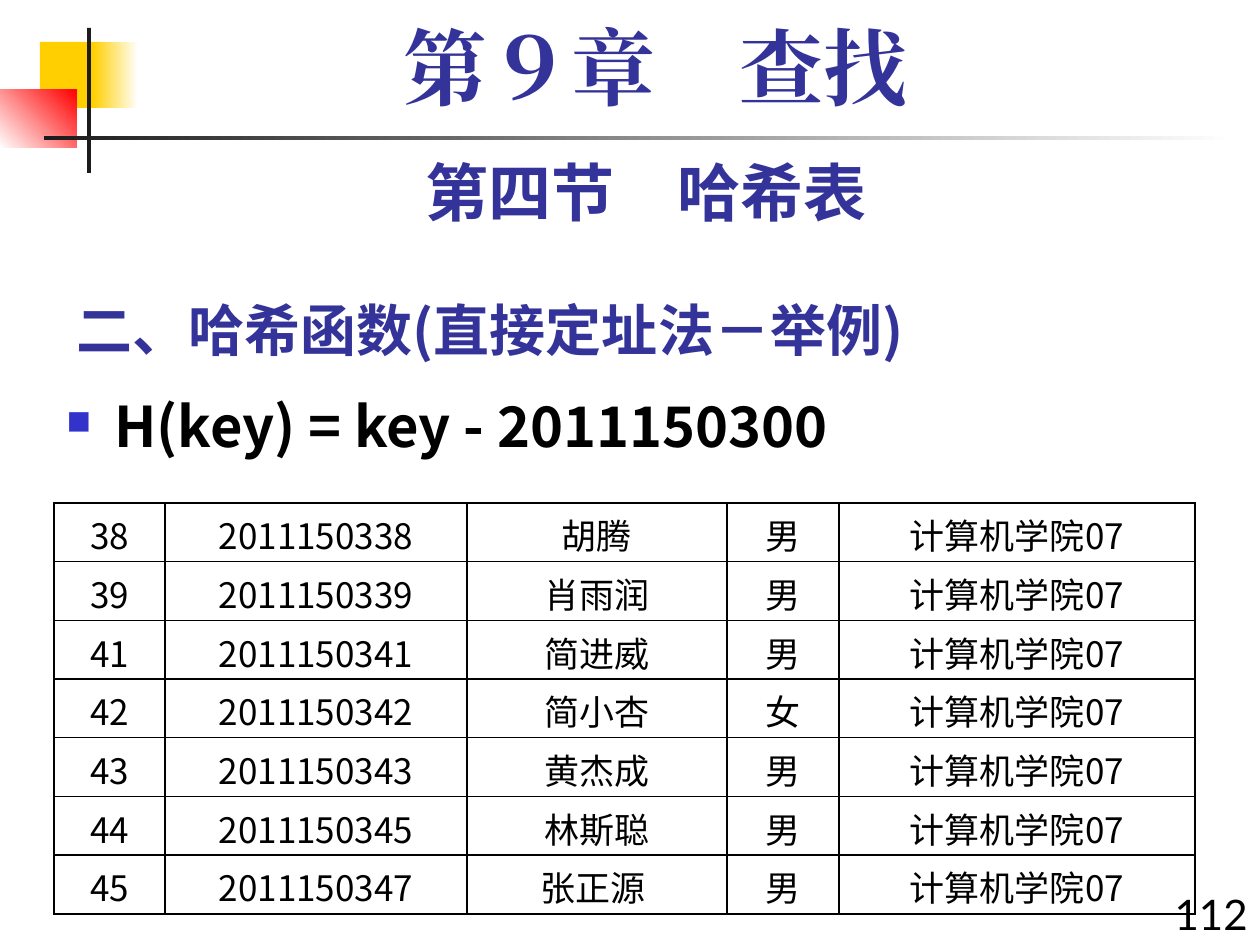
"""Build the hash table slide: direct addressing example."""
from lxml import etree
from pptx import Presentation
from pptx.dml.color import RGBColor
from pptx.enum import shapes, text
from pptx.oxml.ns import qn
from pptx.util import Pt

PX = 914400 / 126
COLORS = {"gold": "FFCF01", "white": "FFFFFF", "red": "FF0000", "dark": "1C1C1C",
          "navy": "333399", "bullet": "3333CC", "black": "000000"}
CJK = "Noto Sans CJK SC"


def px(*values):
    return [round(v * PX) for v in values]


def add_run(p, words, size, font, color, bold=False):
    r = p.add_run()
    r.text = words
    r.font.size = Pt(size)
    r.font.bold = bold
    r.font.color.rgb = RGBColor.from_string(COLORS[color])
    r.font.name = font
    etree.SubElement(r._r.get_or_add_rPr(), qn("a:ea"), typeface=font)


prs = Presentation()
prs.slide_width, prs.slide_height = px(1260, 945)
s = prs.slides.add_slide(prs.slide_layouts[6])

decorations = [
    ((40, 42, 61, 66), ["gold"], 0),
    ((93, 42, 45, 66), ["gold", "white"], 0),
    ((0, 90, 77, 58), ["white", "red"], 45),
    ((87, 28, 4, 145), ["dark"], 0),
    ((44, 136, 1191, 4), ["dark", "white"], 0),
]
for box, names, angle in decorations:
    sp = s.shapes.add_shape(shapes.MSO_SHAPE.RECTANGLE, *px(*box))
    sp.shadow.inherit = False
    sp.line.fill.background()
    if len(names) == 1:
        sp.fill.solid()
        sp.fill.fore_color.rgb = RGBColor.from_string(COLORS[names[0]])
    else:
        sp.fill.gradient()
        sp.fill.gradient_angle = angle
        for stop, name in zip(sp.fill.gradient_stops, names):
            stop.color.rgb = RGBColor.from_string(COLORS[name])

LEFT, CENTER, RIGHT = text.PP_ALIGN.LEFT, text.PP_ALIGN.CENTER, text.PP_ALIGN.RIGHT
TOP, BOTTOM = text.MSO_ANCHOR.TOP, text.MSO_ANCHOR.BOTTOM
texts = [
    ((64, 275, 1085, 94), "二、哈希函数(直接定址法－举例)", 32, CJK, "navy", True, LEFT, BOTTOM, 1),
    ((54, 393, 1182, 471), "H(key) = key - 2011150300", 32, CJK, "black", True, LEFT, TOP, 0.9),
    ((63, 147, 1166, 88), "第四节　哈希表", 36, "Lato", "navy", True, CENTER, TOP, 1),
    ((84, 21, 1144, 105), "第９章　查找", 48, "Times New Roman", "navy", True, CENTER, TOP, 0.9),
    ((1155, 882, 105, 63), "112", 24, "Lato", "black", False, RIGHT, TOP, 1),
]
for box, words, size, font, color, bold, align, anchor, spacing in texts:
    tf = s.shapes.add_textbox(*px(*box)).text_frame
    tf.word_wrap = True
    tf.vertical_anchor = anchor
    p = tf.paragraphs[0]
    p.alignment = align
    p.line_spacing = spacing
    if words.startswith("H(key)"):
        pPr = p._p.get_or_add_pPr()
        indent, = px(48)
        pPr.set("marL", str(indent))
        pPr.set("indent", str(-indent))
        clr = etree.SubElement(pPr, qn("a:buClr"))
        etree.SubElement(clr, qn("a:srgbClr"), val=COLORS["bullet"])
        etree.SubElement(pPr, qn("a:buSzPct"), val="60000")
        etree.SubElement(pPr, qn("a:buChar"), char="■")
    add_run(p, words, size, font, color, bold)

students = [
    ("38", "2011150338", "胡腾", "男"),
    ("39", "2011150339", "肖雨润", "男"),
    ("41", "2011150341", "简进威", "男"),
    ("42", "2011150342", "简小杏", "女"),
    ("43", "2011150343", "黄杰成", "男"),
    ("44", "2011150345", "林斯聪", "男"),
    ("45", "2011150347", "张正源 ", "男"),
]
widths = px(111, 302, 260, 112, 356)
table = s.shapes.add_table(len(students), len(widths), *px(54, 503, 1141, 411)).table
table.first_row = table.horz_banding = False
for column, width in zip(table.columns, widths):
    column.width = width
for i, student in enumerate(students):
    for j, words in enumerate(student + ("计算机学院07",)):
        cell = table.cell(i, j)
        cell.vertical_anchor = text.MSO_ANCHOR.MIDDLE
        cell.margin_top, cell.margin_bottom = px(4, 0)
        tcPr = cell._tc.get_or_add_tcPr()
        for side in ("lnL", "lnR", "lnT", "lnB"):
            ln = etree.SubElement(tcPr, qn(f"a:{side}"), w=str(Pt(1)))
            fill = etree.SubElement(ln, qn("a:solidFill"))
            etree.SubElement(fill, qn("a:srgbClr"), val=COLORS["black"])
        cell.fill.background()
        p = cell.text_frame.paragraphs[0]
        p.alignment = CENTER
        add_run(p, words, 20, CJK, "black")

prs.save("out.pptx")
